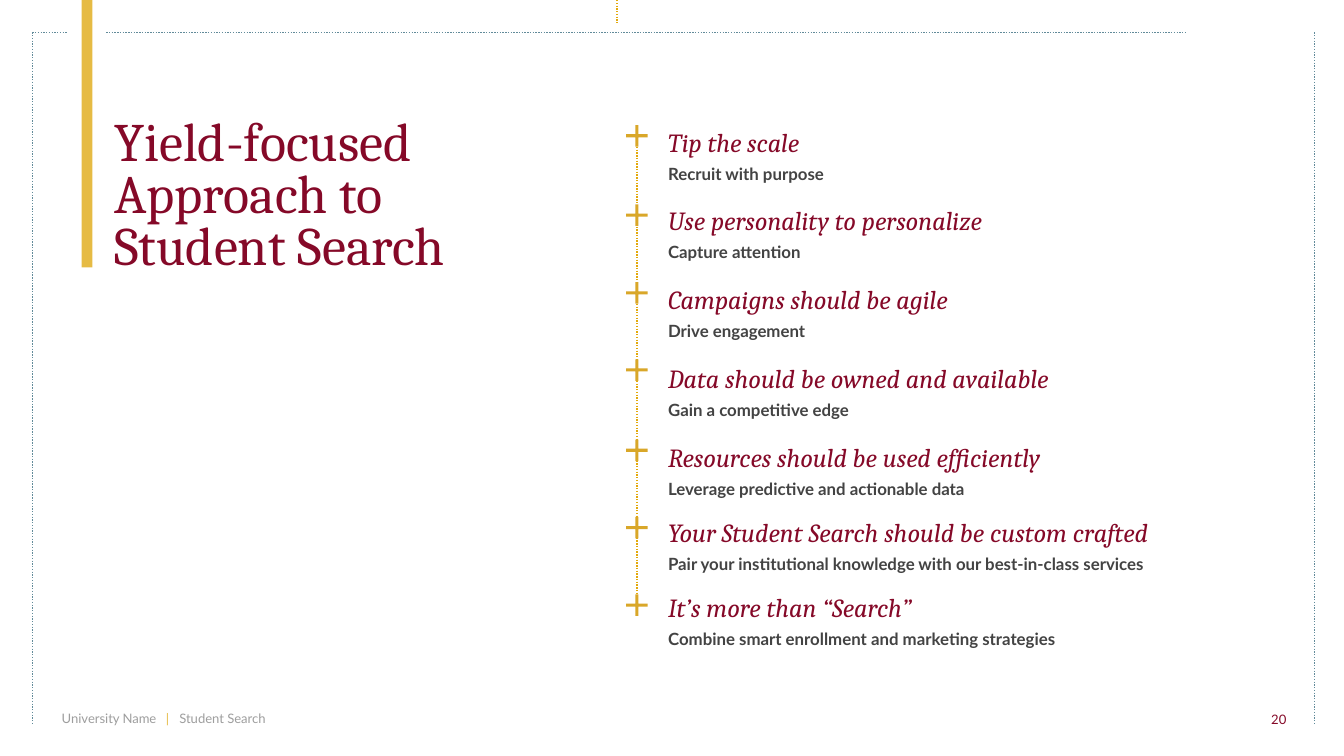
from dataclasses import dataclass

import pptx
import pptx.dml.color
import pptx.enum.dml
import pptx.enum.shapes
import pptx.enum.text
import pptx.oxml
import pptx.oxml.ns
import pptx.util

Pt = pptx.util.Pt
RGBColor = pptx.dml.color.RGBColor
PP_ALIGN = pptx.enum.text.PP_ALIGN
MSO_ANCHOR = pptx.enum.text.MSO_ANCHOR
MSO_SHAPE = pptx.enum.shapes.MSO_SHAPE

BURGUNDY = RGBColor(0x85, 0x09, 0x28)
CHARCOAL = RGBColor(0x43, 0x43, 0x43)
GRAY = RGBColor(0x9E, 0x9E, 0x9E)
TEAL = RGBColor(0x62, 0x8B, 0x9A)
GOLD = RGBColor(0xD9, 0xA7, 0x29)
LIGHT_GOLD = RGBColor(0xE6, 0xBB, 0x44)
DOT_GOLD = RGBColor(0xE3, 0xA9, 0x0C)

SERIF = "Cambria"
SANS = "Lato"
MARKER_SIZE = 11.5
MARKER_LEFT = 335.5


@dataclass(frozen=True)
class Principle:
    heading: str
    detail: str
    marker_top: float
    space_before: float


@dataclass(frozen=True)
class DottedLine:
    x1: float
    y1: float
    x2: float
    y2: float
    color: RGBColor


PRINCIPLES = [
    Principle("Tip the scale", "Recruit with purpose", 67, 0),
    Principle("Use personality to personalize", "Capture attention", 109.5, 8),
    Principle("Campaigns should be agile", "Drive engagement", 151.2, 8),
    Principle("Data should be owned and available", "Gain a competitive edge", 192.5, 8),
    Principle("Resources should be used efficiently",
              "Leverage predictive and actionable data", 235.5, 8),
    Principle("Your Student Search should be custom crafted",
              "Pair your institutional knowledge with our best-in-class services", 277, 6),
    Principle("It’s more than “Search”",
              "Combine smart enrollment and marketing strategies", 318.5, 6),
]

DOTTED_LINES = [
    DottedLine(17.3, 17.3, 17.3, 387.4, TEAL),
    DottedLine(56.9, 17.3, 635.8, 17.3, TEAL),
    DottedLine(704.2, 17.3, 704.2, 387.4, TEAL),
    DottedLine(17.3, 17.3, 36, 17.3, TEAL),
    DottedLine(341.3, 68.4, 341.3, 318.5, DOT_GOLD),
    DottedLine(330.5, 0, 330.5, 12.2, DOT_GOLD),
]


def style(font, name: str, size: float, color: RGBColor,
          bold: bool = False, italic: bool = False) -> None:
    font.name = name
    font.size = Pt(size)
    font.color.rgb = color
    font.bold = bold
    font.italic = italic


def set_frame(frame, inset: float, anchor) -> None:
    frame.word_wrap = True
    frame.auto_size = pptx.enum.text.MSO_AUTO_SIZE.NONE
    frame.vertical_anchor = anchor
    frame.margin_left = frame.margin_right = Pt(inset)
    frame.margin_top = frame.margin_bottom = Pt(inset)


def add_frame(slide, left: float, top: float, width: float, height: float,
              inset: float, anchor=MSO_ANCHOR.TOP):
    frame = slide.shapes.add_textbox(Pt(left), Pt(top), Pt(width), Pt(height)).text_frame
    set_frame(frame, inset, anchor)
    return frame


def add_solid(slide, preset, left: float, top: float, width: float,
              height: float, color: RGBColor):
    solid = slide.shapes.add_shape(preset, Pt(left), Pt(top), Pt(width), Pt(height))
    solid.shadow.inherit = False
    solid.fill.solid()
    solid.fill.fore_color.rgb = color
    solid.line.fill.background()
    return solid


def add_dotted_line(slide, dotted: DottedLine) -> None:
    connector = slide.shapes.add_connector(
        pptx.enum.shapes.MSO_CONNECTOR.STRAIGHT,
        Pt(dotted.x1), Pt(dotted.y1), Pt(dotted.x2), Pt(dotted.y2))
    connector.line.color.rgb = dotted.color
    connector.line.width = Pt(0.75)
    connector.line.dash_style = pptx.enum.dml.MSO_LINE.ROUND_DOT
    properties = connector._element.spPr
    properties.append(pptx.oxml.parse_xml(
        f"<a:effectLst {pptx.oxml.ns.nsdecls('a')}/>"))


def add_title(slide) -> None:
    title = slide.shapes.title
    title.left, title.top = Pt(61.2), Pt(50.4)
    title.width, title.height = Pt(235.5), Pt(97.2)
    frame = title.text_frame
    set_frame(frame, 0, MSO_ANCHOR.BOTTOM)
    frame.margin_top = Pt(0.7)
    frame.text = "Yield-focused Approach to Student Search"
    paragraph = frame.paragraphs[0]
    paragraph.alignment = PP_ALIGN.LEFT
    paragraph.line_spacing = 0.8
    paragraph.space_before = Pt(0)
    style(paragraph.runs[0].font, SERIF, 29, BURGUNDY)


def add_principles(slide) -> None:
    frame = add_frame(slide, 355, 61.2, 286.5, 288.7, 2.9)
    for index, principle in enumerate(PRINCIPLES):
        heading = frame.add_paragraph() if index else frame.paragraphs[0]
        heading.text = principle.heading
        heading.line_spacing = 1.2
        heading.space_before = Pt(principle.space_before)
        style(heading.runs[0].font, SERIF, 14, BURGUNDY, italic=True)
        detail = frame.add_paragraph()
        detail.text = principle.detail
        detail.line_spacing = 1.3
        style(detail.runs[0].font, SANS, 9, CHARCOAL, bold=True)


def add_footer(slide) -> None:
    paragraph = add_frame(slide, 31.7, 379.4, 224.6, 11.5, 1.4).paragraphs[0]
    tabs = "".join(f'<a:tab pos="{Pt(stop)}" algn="l"/>' for stop in (55.8, 63))
    paragraph._p.get_or_add_pPr().append(pptx.oxml.parse_xml(
        f"<a:tabLst {pptx.oxml.ns.nsdecls('a')}>{tabs}</a:tabLst>"))
    for text, color in (("University Name", GRAY), ("\t|\t", LIGHT_GOLD),
                        ("Student Search", GRAY)):
        run = paragraph.add_run()
        run.text = text
        style(run.font, SANS, 7, color)


def add_page_number(slide) -> None:
    frame = add_frame(slide, 665.3, 379.4, 25.2, 11.5, 1.4, MSO_ANCHOR.MIDDLE)
    frame.text = "20"
    frame.paragraphs[0].alignment = PP_ALIGN.RIGHT
    style(frame.paragraphs[0].runs[0].font, SANS, 7, BURGUNDY)


def main() -> None:
    presentation = pptx.Presentation()
    presentation.slide_width = Pt(720)
    presentation.slide_height = Pt(405)
    slide = presentation.slides.add_slide(presentation.slide_layouts[5])
    add_title(slide)
    add_principles(slide)
    for dotted in DOTTED_LINES:
        add_dotted_line(slide, dotted)
    add_solid(slide, MSO_SHAPE.RECTANGLE, 43.7, 0, 5.8, 143.3, LIGHT_GOLD)
    for principle in PRINCIPLES:
        marker = add_solid(slide, MSO_SHAPE.CROSS, MARKER_LEFT, principle.marker_top,
                           MARKER_SIZE, MARKER_SIZE, GOLD)
        marker.adjustments[0] = 0.43
    add_footer(slide)
    add_page_number(slide)
    presentation.save("out.pptx")


if __name__ == "__main__":
    main()
